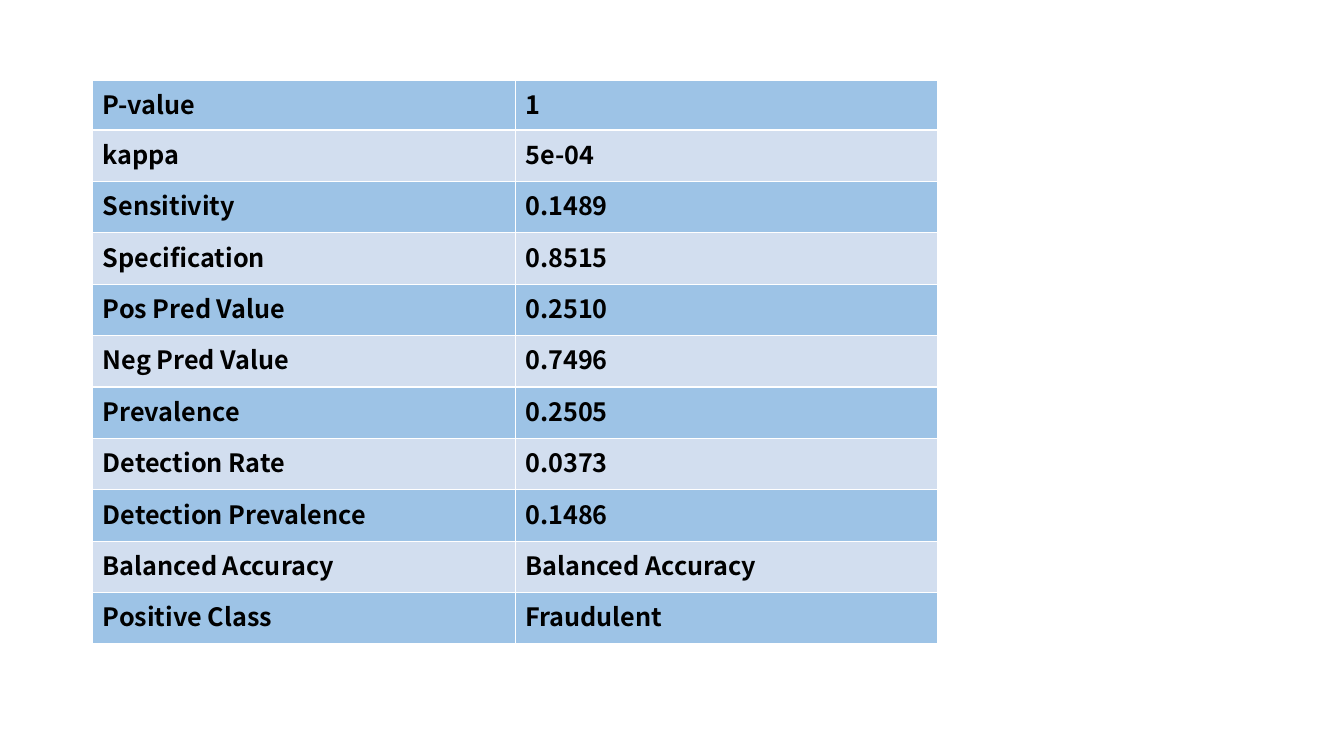
from pptx import Presentation
from pptx.dml.color import RGBColor
from pptx.enum.text import MSO_ANCHOR
from pptx.util import Inches, Pt

FONT = "Noto Sans CJK KR"
BLACK = RGBColor(0x00, 0x00, 0x00)
MID_BLUE = RGBColor(0x9D, 0xC3, 0xE6)
PALE_BLUE = RGBColor(0xD2, 0xDE, 0xEF)

METRICS = [
    ("P-value", "1"),
    ("kappa", "5e-04"),
    ("Sensitivity", "0.1489"),
    ("Specification", "0.8515"),
    ("Pos Pred Value", "0.2510"),
    ("Neg Pred Value", "0.7496"),
    ("Prevalence", "0.2505"),
    ("Detection Rate", "0.0373"),
    ("Detection Prevalence", "0.1486"),
    ("Balanced Accuracy", "Balanced Accuracy"),
    ("Positive Class", "Fraudulent"),
]
FIRST_ROW_HEIGHT = 0.49
ROW_HEIGHT = 0.51


def fill_cell(cell, text, color):
    cell.fill.solid()
    cell.fill.fore_color.rgb = color
    cell.vertical_anchor = MSO_ANCHOR.TOP
    run = cell.text_frame.paragraphs[0].add_run()
    run.text = text
    run.font.name = FONT
    run.font.size = Pt(18)
    run.font.bold = True
    run.font.color.rgb = BLACK


def add_metrics_table(slide, left, top, width):
    height = FIRST_ROW_HEIGHT + ROW_HEIGHT * (len(METRICS) - 1)
    # The default table style supplies the white rules between cells
    table = slide.shapes.add_table(
        len(METRICS), 2, Inches(left), Inches(top), Inches(width), Inches(height)
    ).table
    for index, metric in enumerate(METRICS):
        row = table.rows[index]
        row.height = Inches(ROW_HEIGHT if index else FIRST_ROW_HEIGHT)
        color = PALE_BLUE if index % 2 else MID_BLUE
        for cell, text in zip(row.cells, metric):
            fill_cell(cell, text, color)


def main():
    prs = Presentation()
    prs.slide_width = Inches(13.33)
    prs.slide_height = Inches(7.5)

    # Blank layout: the slide holds only the table
    slide = prs.slides.add_slide(prs.slide_layouts[6])
    add_metrics_table(slide, left=0.92, top=0.8, width=8.38)

    prs.save("out.pptx")


main()
